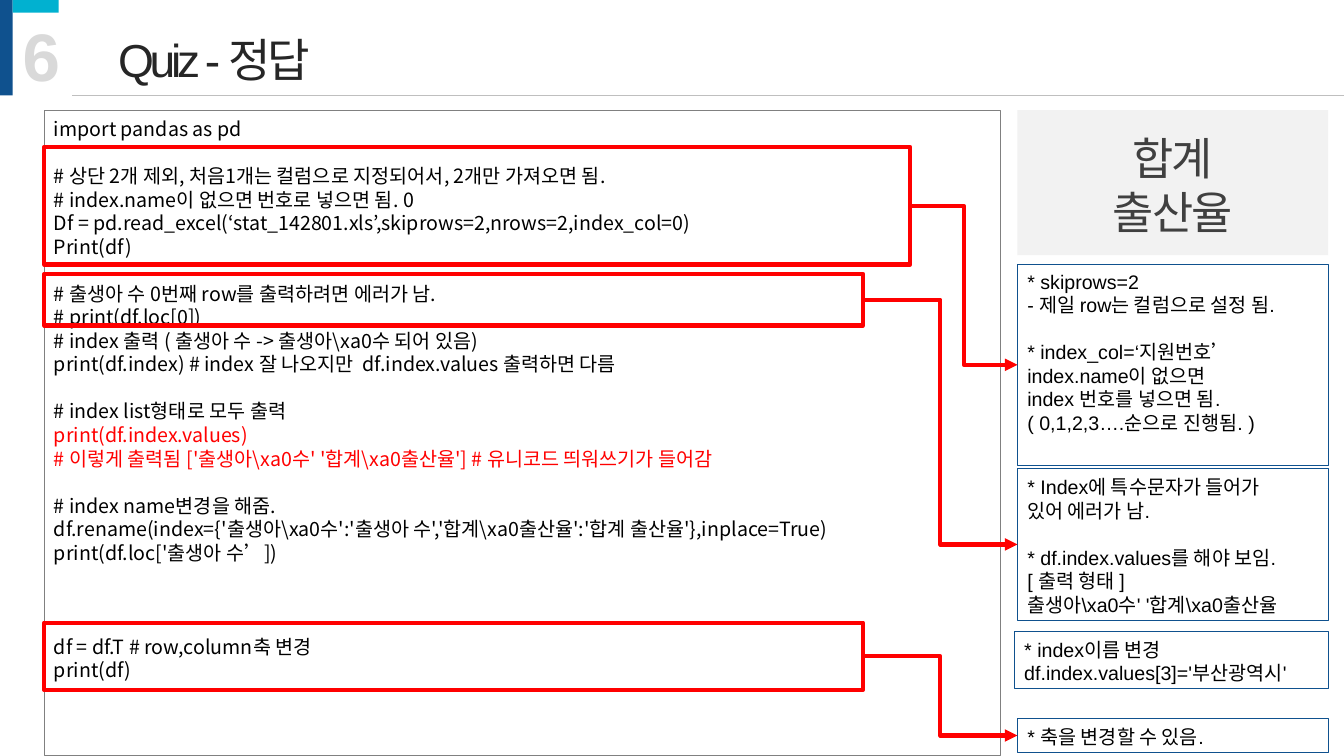
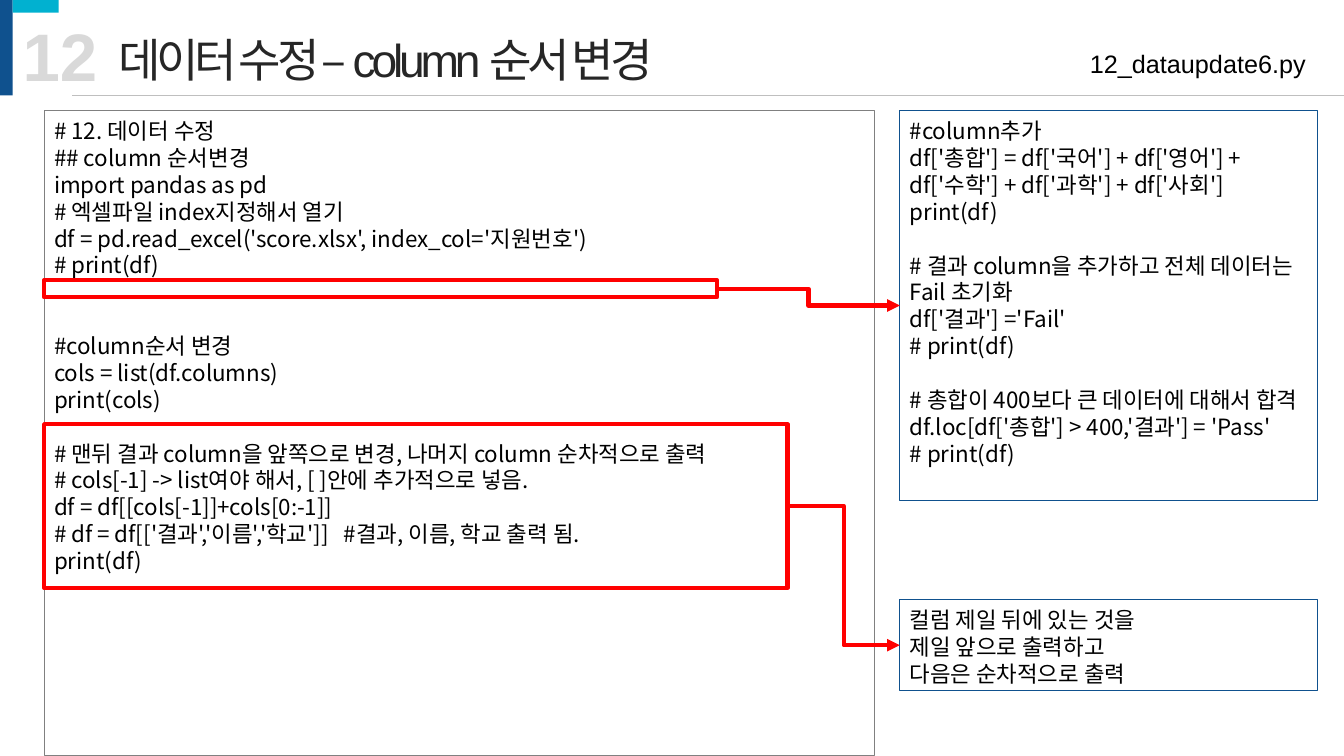
from lxml import etree
from pptx import Presentation
from pptx.dml.color import RGBColor
from pptx.enum.shapes import MSO_CONNECTOR, MSO_SHAPE
from pptx.enum.text import MSO_ANCHOR, PP_ALIGN
from pptx.oxml.ns import qn
from pptx.util import Pt

PX = 9525
BLACK = RGBColor(0x00, 0x00, 0x00)
RED = RGBColor(0xFF, 0x00, 0x00)
NAVY = RGBColor(0x0F, 0x51, 0x8E)
CYAN = RGBColor(0x01, 0xB1, 0xD0)
TITLE_GREY = RGBColor(0x26, 0x26, 0x26)
TOPIC_GREY = RGBColor(0x40, 0x40, 0x40)
FRAME_GREY = RGBColor(0x80, 0x80, 0x80)
RULE_GREY = RGBColor(0xBF, 0xBF, 0xBF)
NUMBER_GREY = RGBColor(0xD9, 0xD9, 0xD9)
PALE_GREY = RGBColor(0xF2, 0xF2, 0xF2)
SANS = "Arial"
HANGUL = "Noto Sans CJK KR"
LINE_HEIGHT = 1.2
HANGUL_DROP = 0.09


def add_box(page, place, lines=(), size=14, font=SANS, color=BLACK, fill=None,
            line=None, weight=0.75, bold=False, spacing=0, wrap=True,
            align=PP_ALIGN.LEFT, anchor=MSO_ANCHOR.TOP, red_lines=()):
    """Add a rectangle with one paragraph per line; "" opens a one-line gap."""
    box = page.shapes.add_shape(MSO_SHAPE.RECTANGLE, *(n * PX for n in place))
    box.shadow.inherit = False
    if fill is None:
        box.fill.background()
    else:
        box.fill.solid()
        box.fill.fore_color.rgb = fill
    if line is None:
        box.line.fill.background()
    else:
        box.line.color.rgb = line
        box.line.width = Pt(weight)
    if not lines:
        return box

    frame = box.text_frame
    frame.word_wrap = wrap
    frame.vertical_anchor = anchor
    if font == HANGUL or not lines[0].isascii():
        frame.margin_top += Pt(HANGUL_DROP * size)
    para, gaps = frame.paragraphs[0], 0
    for text in lines:
        if not text:
            gaps += 1
            continue
        if para.runs:
            para = frame.add_paragraph()
        para.alignment = align
        para.line_spacing = Pt(LINE_HEIGHT * size)
        if gaps:
            para.space_before = Pt(LINE_HEIGHT * size * gaps)
        gaps = 0
        span = para.add_run()
        span.text = text
        span.font.size = Pt(size)
        span.font.bold = bold
        span.font.name = font
        span.font.color.rgb = RED if text in red_lines else color
        properties = span.font._element
        etree.SubElement(properties, qn("a:ea")).set("typeface", HANGUL)
        if spacing:
            properties.set("spc", str(round(spacing * 100)))
    return box


def add_line(page, kind, ends, color, weight):
    line = page.shapes.add_connector(kind, *(n * PX for n in ends))
    line.line.color.rgb = color
    line.line.width = Pt(weight)
    etree.SubElement(line._element.spPr, qn("a:effectLst"))
    return line


deck = Presentation()
deck.slide_width = 1280 * PX
deck.slide_height = 720 * PX

# Shared header
pages = []
for number, number_width, title in [
    ("6", 56, "Quiz - 정답"),
    ("12", 91, "데이터 수정 – column 순서 변경"),
]:
    page = deck.slides.add_slide(deck.slide_layouts[6])
    add_box(page, (0, 0, 12, 91), fill=NAVY)
    add_box(page, (12, 0, 44, 12), fill=CYAN)
    add_line(page, MSO_CONNECTOR.STRAIGHT, (69, 91, 1280, 91), RULE_GREY, 0.5)
    add_box(page, (12, 9, number_width, 87), [number], 48, color=NUMBER_GREY,
            bold=True, wrap=False)
    add_box(page, (103, 21, 842, 63), [title], 33, color=TITLE_GREY, spacing=-3)
    pages.append(page)
quiz, update = pages

# Code panels
quiz_red = [
    "print(df.index.values)",
    "# 이렇게 출력됨 ['출생아\\xa0수' '합계\\xa0출산율'] # 유니코드 띄워쓰기가 들어감",
]
quiz_code = [
    "import pandas as pd",
    "",
    "# 상단 2개 제외, 처음1개는 컬럼으로 지정되어서, 2개만 가져오면 됨.",
    "# index.name이 없으면 번호로 넣으면 됨. 0",
    "Df = pd.read_excel(‘stat_142801.xls’,skiprows=2,nrows=2,index_col=0)",
    "Print(df)",
    "",
    "# 출생아 수 0번째 row를 출력하려면 에러가 남.",
    "# print(df.loc[0])",
    "# index 출력 ( 출생아 수 -> 출생아\\xa0수 되어 있음)",
    "print(df.index) # index 잘 나오지만  df.index.values 출력하면 다름",
    "",
    "# index list형태로 모두 출력",
    *quiz_red,
    "",
    "# index name변경을 해줌.",
    "df.rename(index={'출생아\\xa0수':'출생아 수','합계\\xa0출산율':'합계 출산율'},inplace=True)",
    "print(df.loc['출생아 수’])",
    "",
    "",
    "",
    "df = df.T # row,column축 변경",
    "print(df)",
]
update_code = [
    "# 12. 데이터 수정",
    "## column 순서변경",
    "import pandas as pd",
    "# 엑셀파일 index지정해서 열기",
    "df = pd.read_excel('score.xlsx', index_col='지원번호')",
    "# print(df)",
    "",
    "",
    "#column순서 변경",
    "cols = list(df.columns)",
    "print(cols)",
    "",
    "# 맨뒤 결과 column을 앞쪽으로 변경, 나머지 column 순차적으로 출력",
    "# cols[-1] -> list여야 해서, [ ]안에 추가적으로 넣음.",
    "df = df[[cols[-1]]+cols[0:-1]]",
    "# df = df[['결과','이름','학교']]   #결과, 이름, 학교 출력 됨.",
    "print(df)",
]
for page, width, size, code in [(quiz, 911, 14, quiz_code), (update, 791, 16, update_code)]:
    add_box(page, (42, 105, width, 615), code, size, HANGUL, line=FRAME_GREY,
            red_lines=quiz_red)

# Boxes that stand alone
add_box(quiz, (969, 105, 296, 138), ["합계", "출산율"], 32, color=TOPIC_GREY,
        fill=PALE_GREY, spacing=-1.5, align=PP_ALIGN.CENTER, anchor=MSO_ANCHOR.MIDDLE)
add_box(quiz, (966, 601, 299, 55),
        ["* index이름 변경", "df.index.values[3]='부산광역시'"], line=NAVY)
add_box(update, (857, 41, 396, 38), ["12_dataupdate6.py"], 18, align=PP_ALIGN.RIGHT)

# Marked code, each mark tied by an arrow to its note
skip_note = [
    "* skiprows=2",
    "- 제일 row는 컬럼으로 설정 됨.",
    "",
    "* index_col=‘지원번호’",
    "index.name이 없으면",
    "index 번호를 넣으면 됨.",
    "( 0,1,2,3….순으로 진행됨. )",
]
index_note = [
    "* Index에 특수문자가 들어가",
    "있어 에러가 남.",
    "",
    "* df.index.values를 해야 보임.",
    "[ 출력 형태 ]",
    "출생아\\xa0수' '합계\\xa0출산율",
]
column_note = [
    "#column추가",
    "df['총합'] = df['국어'] + df['영어'] + df['수학'] + df['과학'] + df['사회']",
    "print(df)",
    "",
    "# 결과 column을 추가하고 전체 데이터는 Fail 초기화",
    "df['결과'] ='Fail'",
    "# print(df)",
    "",
    "# 총합이 400보다 큰 데이터에 대해서 합격",
    "df.loc[df['총합'] > 400,'결과'] = 'Pass'",
    "# print(df)",
]
order_note = ["컬럼 제일 뒤에 있는 것을", "제일 앞으로 출력하고", "다음은 순차적으로 출력"]
for page, mark_place, note_place, note, size, font in [
    (quiz, (42, 140, 825, 112), (969, 252, 296, 191), skip_note, 14, SANS),
    (quiz, (42, 261, 780, 49), (969, 446, 296, 145), index_note, 14, SANS),
    (quiz, (42, 593, 780, 64), (969, 684, 296, 33), ["* 축을 변경할 수 있음."], 14, SANS),
    (update, (42, 267, 641, 16), (857, 105, 398, 372), column_note, 16, HANGUL),
    (update, (42, 404, 708, 156), (857, 571, 398, 87), order_note, 16, SANS),
]:
    mark_box = add_box(page, mark_place, line=RED, weight=3)
    note_box = add_box(page, note_place, note, size, font, line=NAVY)
    arrow = add_line(page, MSO_CONNECTOR.ELBOW, (0, 0, 1, 1), RED, 3)
    arrow.begin_connect(mark_box, 3)
    arrow.end_connect(note_box, 1)
    etree.SubElement(arrow.line._get_or_add_ln(), qn("a:tailEnd")).set("type", "triangle")

deck.save("out.pptx")
